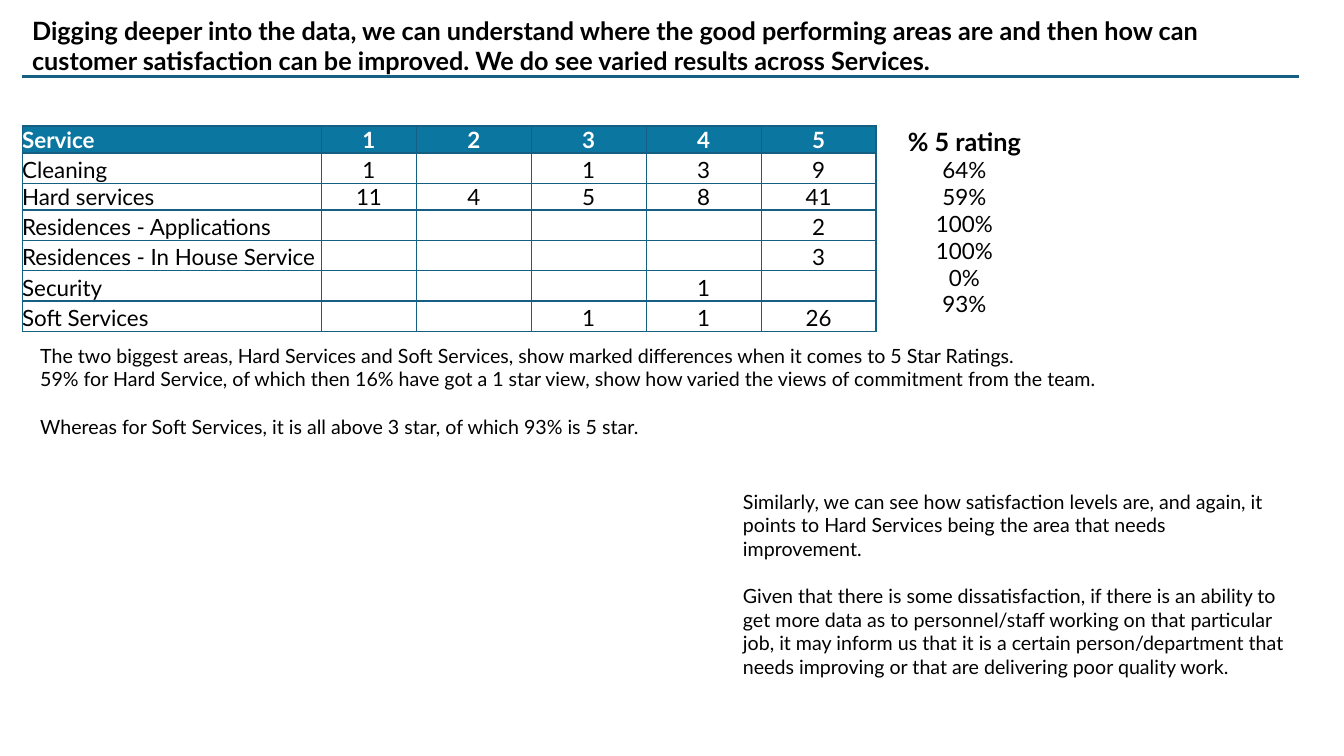
from lxml import etree
from pptx import Presentation
from pptx import util as u
from pptx.dml.color import RGBColor
from pptx.enum import shapes, text
from pptx.oxml import ns


def color(value):
    """Turn a hex string into a colour."""
    return RGBColor.from_string(value)


def write(paragraph, content, size=14, bold=False, ink="000000", align=text.PP_ALIGN.LEFT, before=0, font="Lato"):
    """Put formatted text into a paragraph."""
    paragraph.alignment = align
    paragraph.space_before = u.Pt(before)
    run = paragraph.add_run()
    run.text = content
    run.font.name = font
    run.font.size = u.Pt(size)
    run.font.bold = bold
    run.font.color.rgb = color(ink)


class RatingsSlide:
    """Hold the slide style and draw each kind of element."""

    rule_color = "156082"
    header_color = "0B76A0"

    def __init__(self, presentation):
        """Add a blank slide."""
        self.slide = presentation.slides.add_slide(presentation.slide_layouts[6])

    def rule(self, left, top, right):
        """Draw a horizontal rule."""
        line = self.slide.shapes.add_connector(
            shapes.MSO_CONNECTOR.STRAIGHT, u.Inches(left), u.Inches(top), u.Inches(right), u.Inches(top))
        line.line.color.rgb = color(self.rule_color)
        line.line.width = u.Pt(2)
        etree.SubElement(line.element.spPr, ns.qn("a:effectLst"))

    def text_box(self, left, top, width, height, paragraphs):
        """Add a wrapped text box from pairs of text and format."""
        box = self.slide.shapes.add_textbox(*map(u.Inches, (left, top, width, height)))
        frame = box.text_frame
        frame.word_wrap = True
        frame.auto_size = text.MSO_AUTO_SIZE.SHAPE_TO_FIT_TEXT
        for index, (content, style) in enumerate(paragraphs):
            paragraph = frame.add_paragraph() if index else frame.paragraphs[0]
            write(paragraph, content, **style)

    def borders(self, cell):
        """Outline all four sides of a cell."""
        properties = cell._tc.get_or_add_tcPr()
        for side in ("lnL", "lnR", "lnT", "lnB"):
            edge = etree.SubElement(properties, ns.qn(f"a:{side}"), w=str(u.Pt(1)))
            fill = etree.SubElement(edge, ns.qn("a:solidFill"))
            etree.SubElement(fill, ns.qn("a:srgbClr"), val=self.rule_color)

    def table(self, left, top, height, widths, rows):
        """Add a bordered table with a filled header row."""
        table = self.slide.shapes.add_table(
            len(rows), len(widths), *map(u.Inches, (left, top, sum(widths), height))).table
        table.horz_banding = False
        for column, width in zip(table.columns, widths):
            column.width = u.Inches(width)
        for r, values in enumerate(rows):
            for c, value in enumerate(values):
                cell = table.cell(r, c)
                cell.margin_left = cell.margin_right = cell.margin_top = cell.margin_bottom = 0
                cell.vertical_anchor = text.MSO_ANCHOR.BOTTOM
                self.borders(cell)
                if r == 0:
                    cell.fill.solid()
                    cell.fill.fore_color.rgb = color(self.header_color)
                else:
                    cell.fill.background()
                write(cell.text_frame.paragraphs[0], value, size=16, bold=r == 0,
                      ink="000000" if r else "FFFFFF",
                      align=text.PP_ALIGN.CENTER if c else text.PP_ALIGN.LEFT)


def main():
    """Build and save the slide."""
    presentation = Presentation()
    presentation.slide_width = u.Inches(13.33)
    presentation.slide_height = u.Inches(7.5)
    page = RatingsSlide(presentation)

    page.rule(0.22, 0.76, 12.88)
    page.text_box(0.22, 0.1, 12.66, 0.71, [
        ("Digging deeper into the data, we can understand where the good performing areas are and then "
         "how can customer satisfaction can be improved. We do see varied results across Services.",
         dict(size=18, bold=True))])

    page.table(0.22, 1.25, 1.87, [2.97, 0.94] + [1.14] * 4, [
        ("Service", "1", "2", "3", "4", "5"),
        ("Cleaning", "1", "", "1", "3", "9"),
        ("Hard services", "11", "4", "5", "8", "41"),
        ("Residences - Applications", "", "", "", "", "2"),
        ("Residences - In House Service", "", "", "", "", "3"),
        ("Security", "", "", "", "1", ""),
        ("Soft Services", "", "", "1", "1", "26"),
    ])

    center = dict(align=text.PP_ALIGN.CENTER)
    shares = ("64%", "59%", "100%", "100%", "0%", "93%")
    page.text_box(8.8, 1.2, 1.53, 2.02,
                  [("% 5 rating", dict(size=18, bold=True, **center))]
                  + [(share, dict(size=16, **center)) for share in shares])

    gap = dict(before=17)
    page.text_box(0.3, 3.36, 12.44, 1.04, [
        ("The two biggest areas, Hard Services and Soft Services, show marked differences "
         "when it comes to 5 Star Ratings.", {}),
        ("59% for Hard Service, of which then 16% have got a 1 star view, show how varied "
         "the views of commitment from the team.", {}),
        ("Whereas for Soft Services, it is all above 3 star, of which 93% is 5 star.", gap)])
    page.text_box(7.27, 4.81, 5.62, 1.75, [
        ("Similarly, we can see how satisfaction levels are, and again, it points to Hard Services "
         "being the area that needs improvement.", {}),
        ("Given that there is some dissatisfaction, if there is an ability to get more data as to "
         "personnel/staff working on that particular job, it may inform us that it is a certain "
         "person/department that needs improving or that are delivering poor quality work.", gap)])

    presentation.save("out.pptx")


if __name__ == "__main__":
    main()
